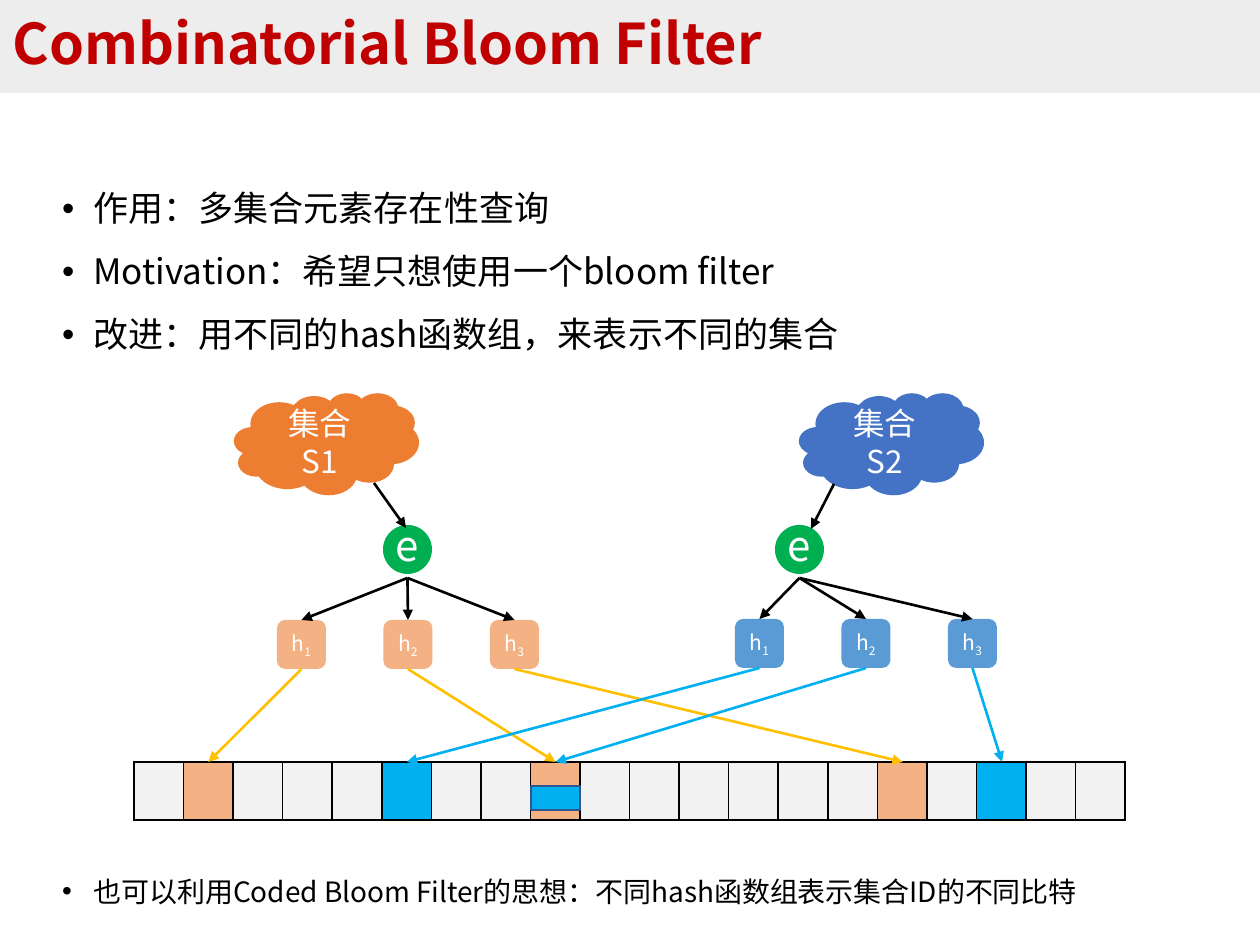
"""Build a slide on the combinatorial Bloom filter."""
import pptx
import pptx.util
import pptx.dml.color
import pptx.enum.shapes
import pptx.enum.text
import pptx.oxml.ns
import lxml.etree

FONT = "Noto Sans CJK SC"
TITLE = "Combinatorial Bloom Filter"
POINTS = [
    ("作用：多集合元素存在性查询", 20, 36, 0),
    ("Motivation：希望只想使用一个bloom filter", 20, 36, 0),
    ("改进：用不同的hash函数组，来表示不同的集合", 20, 36, 0),
    ("也可以利用Coded Bloom Filter的思想：不同hash函数组表示集合ID的不同比特", 16, 36, 280),
]
SETS = [
    dict(name="集合S1", left=234, fill="ED7D31", link=(374, 483, 406, 528), item=383,
         hash=277, top=620, tint="F4B183", ray="FFC000", slots=[1, 8, 15], cell="F4B183"),
    dict(name="集合S2", left=799, fill="4472C4", link=(834, 484, 811, 529), item=775,
         hash=735, top=619, tint="5B9BD5", ray="00B0F0", slots=[5, 8, 17], cell="00B0F0"),
]
COUNT, ROW_X, ROW_Y, ROW_W, ROW_H = 20, 134, 762, 992, 58
SIDE, STEP = 49, 106.5
SHAPE = pptx.enum.shapes.MSO_SHAPE
ALIGN = pptx.enum.text.PP_ALIGN
MID = pptx.enum.text.MSO_ANCHOR.MIDDLE


def px(num):
    return round(num * 914400 / 126)


def rgb(code):
    return pptx.dml.color.RGBColor.from_string(code)


def add(node, tag, **attrs):
    return lxml.etree.SubElement(node, pptx.oxml.ns.qn(tag), **attrs)


def write(para, text, size=12, color="000000", bold=False, base=None, align=None):
    run = para.add_run()
    run.text = text
    run.font.size = pptx.util.Pt(size)
    run.font.name = FONT
    run.font.bold = bold
    run.font.color.rgb = rgb(color)
    add(run.font._element, "a:ea", typeface=FONT)
    if base:
        run.font._element.set("baseline", str(base))
    if align is not None:
        para.alignment = align


def place(shape, x, y, w, h):
    shape.left, shape.top, shape.width, shape.height = map(px, (x, y, w, h))


def inset(frame, x, top, low):
    frame.margin_left = frame.margin_right = px(x)
    frame.margin_top, frame.margin_bottom = px(top), px(low)


def draw(kind, x, y, w, h, fill, edge=None):
    shape = slide.shapes.add_shape(kind, *map(px, (x, y, w, h)))
    shape.shadow.inherit = False
    shape.fill.solid()
    shape.fill.fore_color.rgb = rgb(fill)
    if edge:
        shape.line.color.rgb = rgb(edge)
        shape.line.width = pptx.util.Pt(1)
    else:
        shape.line.fill.background()
    shape.text_frame.vertical_anchor = MID
    return shape


def arrow(x1, y1, x2, y2, color="000000"):
    kind = pptx.enum.shapes.MSO_CONNECTOR.STRAIGHT
    line = slide.shapes.add_connector(kind, *map(px, (x1, y1, x2, y2)))
    line.line.color.rgb = rgb(color)
    line.line.width = pptx.util.Pt(1.5)
    add(line.line._get_or_add_ln(), "a:tailEnd", type="triangle")
    add(line._element.spPr, "a:effectLst")
    return line


def slot_x(slot):
    return ROW_X + ROW_W / COUNT * (slot + 0.5)


def heads():
    title = slide.shapes.title
    place(title, 0, 0, 1260, 93)
    title.fill.solid()
    title.fill.fore_color.rgb = rgb("EDEDED")
    frame = title.text_frame
    frame.vertical_anchor = MID
    frame.auto_size = pptx.enum.text.MSO_AUTO_SIZE.NONE
    inset(frame, 13, 15, 15)
    para = frame.paragraphs[0]
    para.line_spacing = 0.9
    write(para, TITLE, size=32, color="C00000", bold=True, align=ALIGN.LEFT)

    body = slide.placeholders[1]
    place(body, 49, 160, 1266, 877)
    frame = body.text_frame
    frame.auto_size = pptx.enum.text.MSO_AUTO_SIZE.NONE
    inset(frame, 13, 6, 6)
    for num, (text, size, pitch, gap) in enumerate(POINTS):
        para = frame.add_paragraph() if num else frame.paragraphs[0]
        para.line_spacing = pptx.util.Pt(pitch)
        para.space_before = pptx.util.Pt(gap)
        props = para._p.get_or_add_pPr()
        props.set("marL", "228600")
        props.set("indent", "-228600")
        add(props, "a:buFont", typeface="Arial")
        add(props, "a:buChar", char="•")
        write(para, text, size=size)


def border(cell):
    props = cell._tc.get_or_add_tcPr()
    for num, tag in enumerate(("a:lnL", "a:lnR", "a:lnT", "a:lnB")):
        line = lxml.etree.Element(pptx.oxml.ns.qn(tag), w="12700")
        add(add(line, "a:solidFill"), "a:srgbClr", val="000000")
        props.insert(num, line)


def bits():
    tints = {slot: group["cell"] for group in reversed(SETS) for slot in group["slots"]}
    box = map(px, (ROW_X, ROW_Y, ROW_W, ROW_H))
    table = slide.shapes.add_table(1, COUNT, *box).table
    table.first_row = table.horz_banding = False
    for slot in range(COUNT):
        table.columns[slot].width = px(ROW_W / COUNT)
        cell = table.cell(0, slot)
        cell.fill.solid()
        cell.fill.fore_color.rgb = rgb(tints.get(slot, "F2F2F2"))
        border(cell)


def group_up(group):
    cloud = draw(SHAPE.CLOUD, group["left"], 393, 185, 102, group["fill"])
    inset(cloud.text_frame, 18, 6, 6)
    cloud.text_frame.word_wrap = True
    write(cloud.text_frame.paragraphs[0], group["name"], size=18, color="FFFFFF", align=ALIGN.CENTER)
    item = draw(SHAPE.OVAL, group["item"], 525, SIDE, SIDE, "00B050")
    inset(item.text_frame, 0, 0, 9)
    item.text_frame.word_wrap = False
    write(item.text_frame.paragraphs[0], "e", size=24, color="FFFFFF", align=ALIGN.CENTER)
    arrow(*group["link"])
    for num, slot in enumerate(group["slots"]):
        x, y = group["hash"] + STEP * num, group["top"]
        box = draw(SHAPE.ROUNDED_RECTANGLE, x, y, SIDE, SIDE, group["tint"])
        inset(box.text_frame, 6, 6, 6)
        para = box.text_frame.paragraphs[0]
        write(para, "h", color="FFFFFF", align=ALIGN.CENTER)
        write(para, str(num + 1), color="FFFFFF", base=-25000)
        mid = x + SIDE / 2
        arrow(group["item"] + SIDE / 2, 578, mid, y).end_connect(box, 0)
        ray = arrow(mid, y + SIDE, slot_x(slot), ROW_Y, group["ray"])
        ray.begin_connect(box, 2)


deck = pptx.Presentation()
deck.slide_width, deck.slide_height = px(1260), px(945)
slide = deck.slides.add_slide(deck.slide_layouts[1])
heads()
bits()
for group in SETS:
    group_up(group)
draw(SHAPE.RECTANGLE, slot_x(8) - SIDE / 2, 786, SIDE, 24, "00B0F0", edge="325491")
deck.save("out.pptx")
